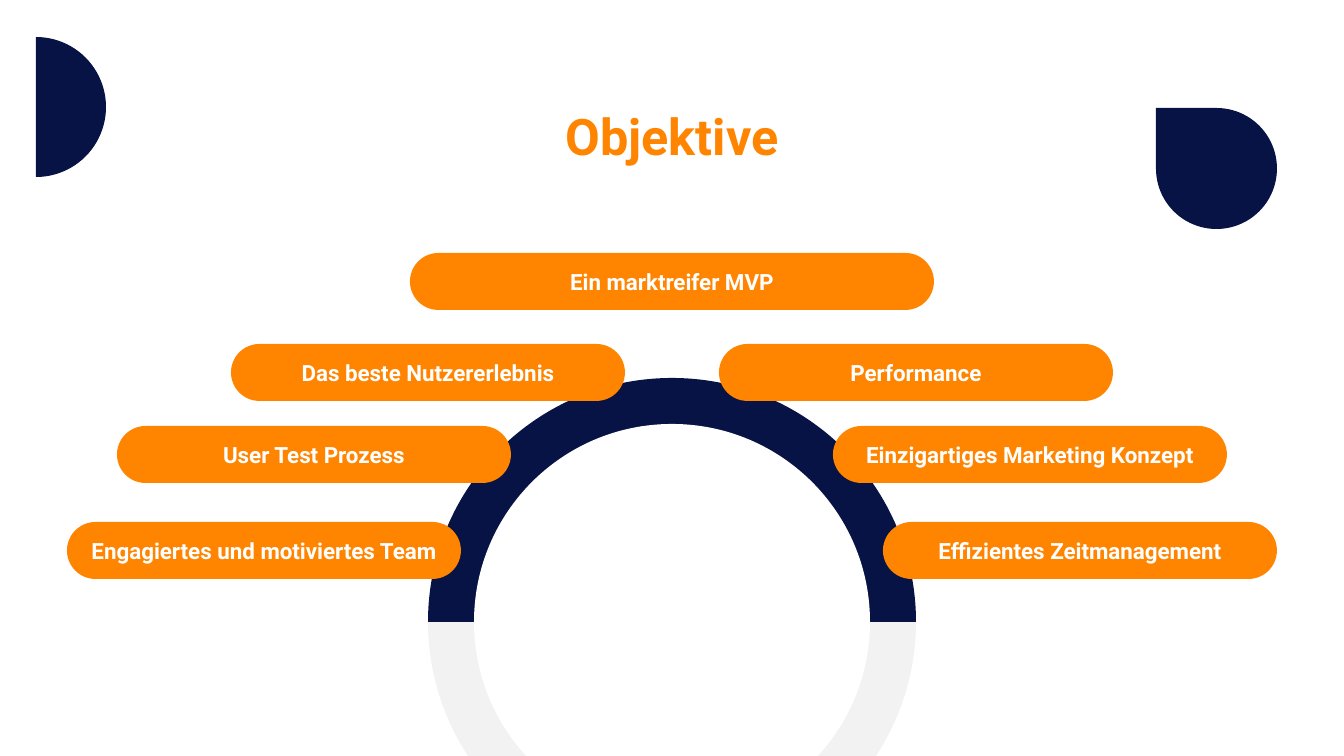
"""Build the "Objektive" slide: goal pills fanned around a dome."""
import math

import lxml.etree
import pptx
import pptx.dml.color
import pptx.enum.shapes
import pptx.enum.text
import pptx.oxml.ns
import pptx.util

TITLE = "Objektive"
TOP_GOAL = "Ein marktreifer MVP"
GOAL_ROWS = [
    (522, 67, "Engagiertes und motiviertes Team", "Effizientes Zeitmanagement"),
    (426, 117, "User Test Prozess", "Einzigartiges Marketing Konzept"),
    (344, 231, "Das beste Nutzererlebnis", "Performance"),
]
ORANGE, NAVY, GREY, WHITE = "FF8400", "061344", "F2F2F2", "FFFFFF"
FONT = "Roboto"
PAGE_WIDTH, PAGE_HEIGHT = 1344, 756
PILL_WIDTH, PILL_HEIGHT = 394, 57
DOME_X, DOME_Y = PAGE_WIDTH // 2, 622
OUTER_RADIUS, INNER_RADIUS = 244, 198
SHAPES = pptx.enum.shapes.MSO_SHAPE
ANCHOR = pptx.enum.text.MSO_ANCHOR


def px(length):
    return pptx.util.Emu(round(length * 914400 / 100.8))


def color(value):
    return pptx.dml.color.RGBColor.from_string(value)


def paint(shape, fill):
    shape.shadow.inherit = False
    shape.fill.solid()
    shape.fill.fore_color.rgb = color(fill)
    shape.line.fill.background()


def write(shape, text, size, text_color, anchor, side_inset=0):
    frame = shape.text_frame
    frame.word_wrap = True
    frame.auto_size = pptx.enum.text.MSO_AUTO_SIZE.NONE
    frame.vertical_anchor = anchor
    frame.margin_left = frame.margin_right = px(side_inset)
    frame.margin_top = frame.margin_bottom = 0
    para = frame.paragraphs[0]
    para.text = text
    para.alignment = pptx.enum.text.PP_ALIGN.CENTER
    para.font.name = FONT
    para.font.size = pptx.util.Pt(size)
    para.font.bold = True
    para.font.color.rgb = color(text_color)
    return para


def page_edge_angle(radius):
    return math.degrees(math.asin((PAGE_HEIGHT - DOME_Y) / radius))


def arc_points(radius, start, end):
    """Return the four Bezier points of one arc of the dome."""
    start, end = math.radians(start), math.radians(end)
    reach = 4 / 3 * math.tan((end - start) / 4)
    offsets = [(start, 0), (start, reach), (end, -reach), (end, 0)]
    return [
        (px(DOME_X + radius * (math.cos(angle) - pull * math.sin(angle))),
         px(DOME_Y + radius * (math.sin(angle) + pull * math.cos(angle))))
        for angle, pull in offsets
    ]


def add_dome_part(page, radius, sweeps, fill):
    """Draw an outline of arcs, joined by straight lines where they part."""
    steps = []
    for sweep in sweeps:
        first, *curve = arc_points(radius, *sweep)
        if not steps or steps[-1][-1] != first:
            steps.append([first])
        steps.append(curve)
    builder = page.shapes.build_freeform(*steps[0][0])
    builder.add_line_segments([point for step in steps[1:] for point in step])
    part = builder.convert_to_shape()
    lines = iter(list(part.element.iter(pptx.oxml.ns.qn("a:lnTo"))))
    for step in steps[1:]:
        group = [next(lines) for point in step]
        if len(group) == 3:
            curve = lxml.etree.Element(pptx.oxml.ns.qn("a:cubicBezTo"))
            group[0].addprevious(curve)
            for line in group:
                curve.append(line[0])
                line.getparent().remove(line)
    paint(part, fill)


def add_pill(page, text, left, top, width=PILL_WIDTH):
    pill = page.shapes.add_shape(
        SHAPES.ROUNDED_RECTANGLE, px(left), px(top), px(width), px(PILL_HEIGHT))
    pill.adjustments[0] = 0.5
    paint(pill, ORANGE)
    write(pill, text, 16, WHITE, ANCHOR.MIDDLE, 10)


def add_ornament(page, kind, left, top, size, rotation):
    ornament = page.shapes.add_shape(kind, px(left), px(top), px(size), px(size))
    ornament.rotation = rotation
    paint(ornament, NAVY)
    return ornament


def main():
    deck = pptx.Presentation()
    deck.slide_width, deck.slide_height = px(PAGE_WIDTH), px(PAGE_HEIGHT)
    page = deck.slides.add_slide(deck.slide_layouts.get_by_name("Title Only"))

    title = page.shapes.title
    title.left, title.top, title.width, title.height = map(px, (441, 103, 462, 63))
    write(title, TITLE, 36, ORANGE, ANCHOR.BOTTOM).line_spacing = 0.9

    outer_edge = page_edge_angle(OUTER_RADIUS)
    inner_edge = page_edge_angle(INNER_RADIUS)
    upper_half = [(180, 270), (270, 360)]
    add_dome_part(page, OUTER_RADIUS, [(0, outer_edge), (180 - outer_edge, 180)], GREY)
    add_dome_part(page, OUTER_RADIUS, upper_half, NAVY)
    add_dome_part(
        page, INNER_RADIUS,
        [(180 - inner_edge, 180), *upper_half, (360, 360 + inner_edge)], WHITE)

    for top, left, left_goal, right_goal in GOAL_ROWS:
        add_pill(page, right_goal, PAGE_WIDTH - left - PILL_WIDTH, top)
        add_pill(page, left_goal, left, top)
    add_pill(page, TOP_GOAL, 410, 253, 524)

    add_ornament(page, SHAPES.TEAR, 1156, 108, 121, 270)
    half_disc = add_ornament(page, SHAPES.PIE, -34, 37, 140, 180)
    half_disc.adjustments[0], half_disc.adjustments[1] = 54, 162

    deck.save("out.pptx")


if __name__ == "__main__":
    main()
